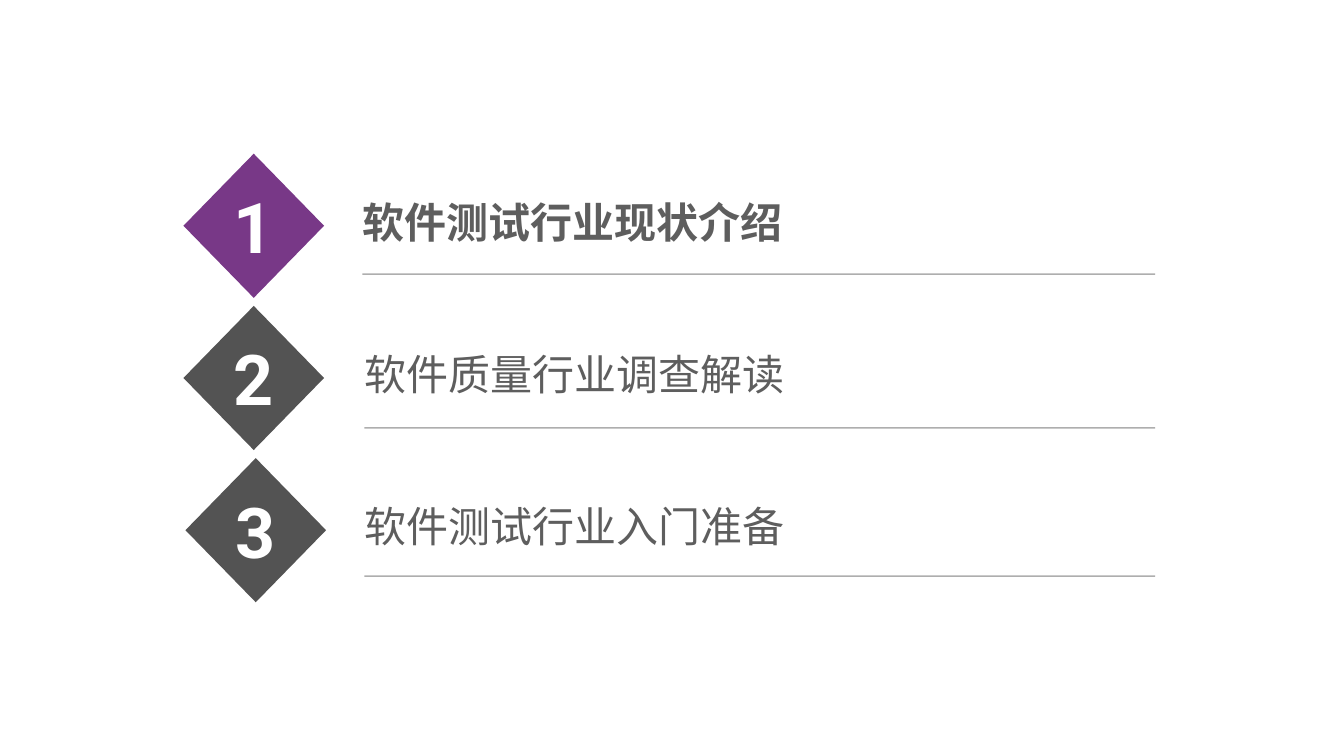
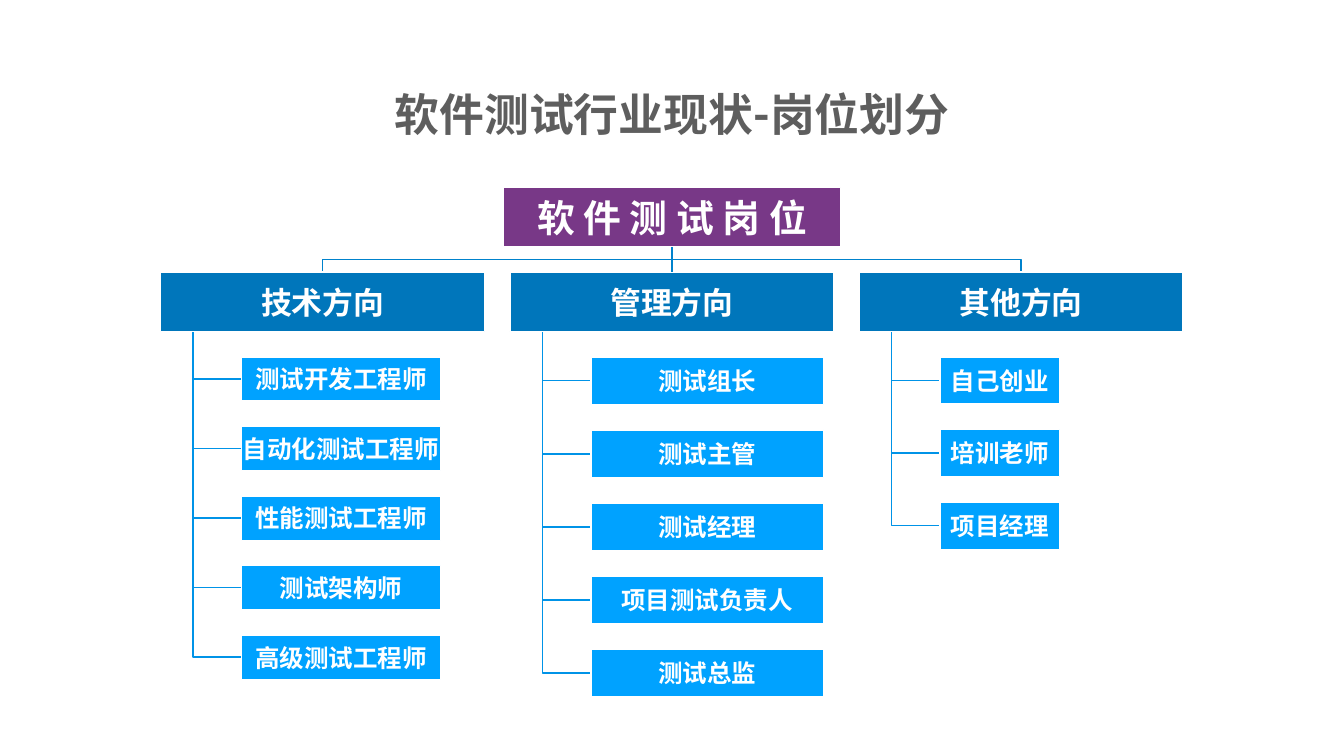
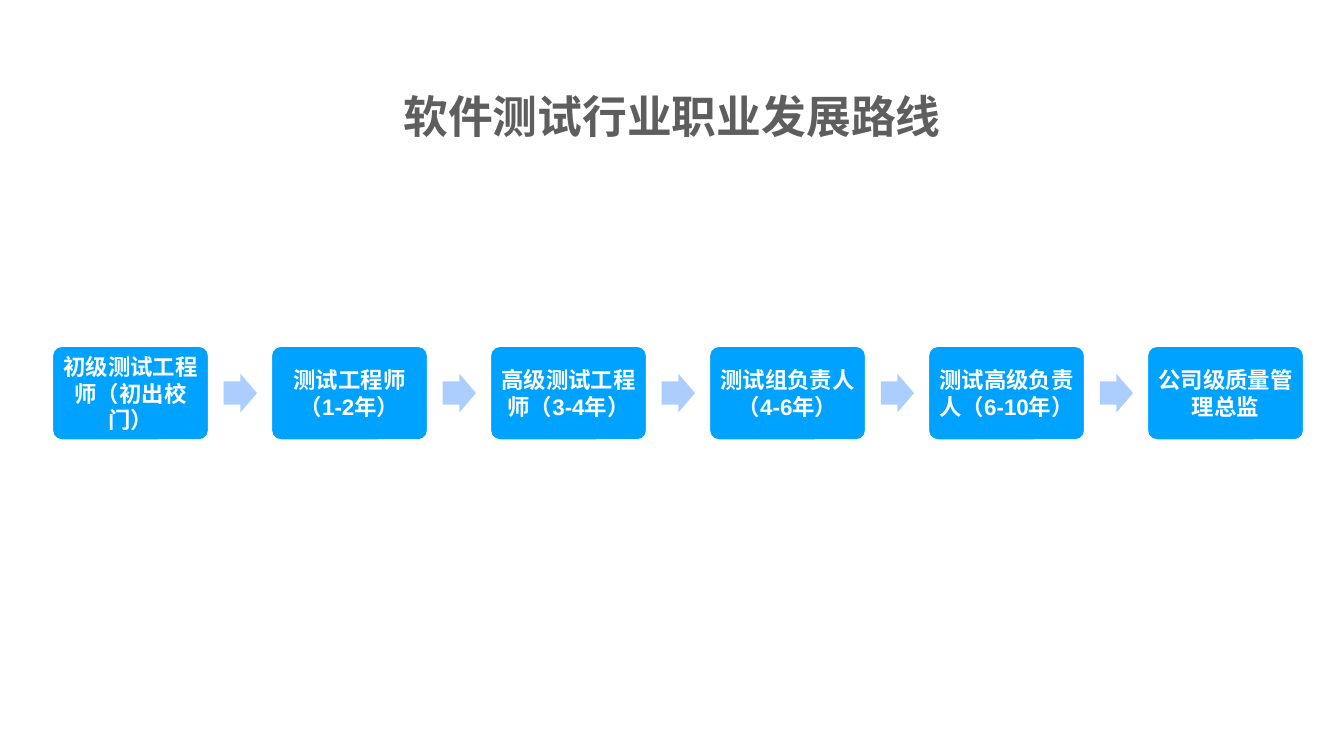
from lxml import etree
from pptx import Presentation
from pptx.dml.color import RGBColor
from pptx.enum.shapes import MSO_CONNECTOR, MSO_SHAPE
from pptx.enum.text import MSO_ANCHOR, MSO_AUTO_SIZE, PP_ALIGN
from pptx.oxml.ns import qn
from pptx.util import Inches, Pt

CENTER, JUSTIFY = PP_ALIGN.CENTER, PP_ALIGN.JUSTIFY
TOP, MIDDLE = MSO_ANCHOR.TOP, MSO_ANCHOR.MIDDLE
GROW = MSO_AUTO_SIZE.SHAPE_TO_FIT_TEXT
DIAMOND, RECTANGLE = MSO_SHAPE.DIAMOND, MSO_SHAPE.RECTANGLE
ROUNDED, ARROW = MSO_SHAPE.ROUNDED_RECTANGLE, MSO_SHAPE.RIGHT_ARROW
STRAIGHT = MSO_CONNECTOR.STRAIGHT

WIDTH, HEIGHT = 26.67, 15
WHITE, GREY, DARK, PURPLE = "FFFFFF", "5E5E5E", "535353", "783887"
NAVY, BLUE, PALE = "0076BB", "00A2FF", "ABCEFF"
ROOT_LINE, BRANCH_LINE = "0082CC", "0093E7"
HEADING_FONT, DIAGRAM_FONT = "Roboto", "Arial"


def paint(shape, fill=None, outline=None):
    shape.shadow.inherit = False
    if fill:
        shape.fill.solid()
        shape.fill.fore_color.rgb = RGBColor.from_string(fill)
    else:
        shape.fill.background()
    if outline:
        shape.line.color.rgb = RGBColor.from_string(outline)
        shape.line.width = Pt(2)
    else:
        shape.line.fill.background()


def write(shape, text, size, font=DIAGRAM_FONT, color=WHITE, bold=True,
          align=CENTER, anchor=MIDDLE, inset=0.1):
    frame = shape.text_frame
    frame.word_wrap = True
    frame.vertical_anchor = anchor
    frame.margin_left = frame.margin_right = Inches(inset)
    frame.margin_top = frame.margin_bottom = Inches(inset)
    frame.text = text
    paragraph = frame.paragraphs[0]
    paragraph.alignment = align
    run_font = paragraph.runs[0].font
    run_font.name, run_font.size, run_font.bold = font, Pt(size), bold
    run_font.color.rgb = RGBColor.from_string(color)


presentation = Presentation()
presentation.slide_width, presentation.slide_height = Inches(WIDTH), Inches(HEIGHT)
blank = presentation.slide_layouts[6]
agenda, positions, career = [presentation.slides.add_slide(blank) for _ in range(3)]

for slide, title, top in [(positions, "软件测试行业现状-岗位划分", 1.62),
                          (career, "软件测试行业职业发展路线", 1.65)]:
    box = slide.shapes.add_textbox(0, Inches(top), Inches(WIDTH), Inches(1.28))
    write(box, title, 64, HEADING_FONT, GREY, anchor=TOP)
    box.text_frame.auto_size = GROW

agenda_pitch = 3.02
agenda_rows = [("软件测试行业现状介绍", PURPLE, 3.64, 7.09, 5.44),
               ("软件质量行业调查解读", DARK, 3.64, 7.13, 8.49),
               ("软件测试行业入门准备", DARK, 3.68, 7.13, 11.43)]
for row, (topic, fill, diamond_left, text_left, rule_top) in enumerate(agenda_rows):
    offset = row * agenda_pitch
    diamond = agenda.shapes.add_shape(DIAMOND, Inches(diamond_left), Inches(3.05 + offset),
                                      Inches(2.79), Inches(2.86))
    paint(diamond, fill)
    write(diamond, str(row + 1), 100, HEADING_FONT)
    box = agenda.shapes.add_textbox(Inches(text_left), Inches(3.79 + offset),
                                    Inches(10.76), Inches(1.21))
    write(box, topic, 60, HEADING_FONT, GREY, row == 0, JUSTIFY, TOP)
    box.text_frame.auto_size = GROW
    rule = agenda.shapes.add_connector(STRAIGHT, Inches(text_left + 0.1), Inches(rule_top),
                                       Inches(22.92), Inches(rule_top))
    rule.line.width = Pt(2)
    rule.line.color.rgb = RGBColor.from_string(GREY)
    line_color = rule.line._ln.find(".//" + qn("a:srgbClr"))
    etree.SubElement(line_color, qn("a:alpha"), val="50000")
    etree.SubElement(rule._element.spPr, qn("a:effectLst"))

gap, bar_height = 0.5, 1.18
root_top, root_width = 3.72, 6.68
root_bottom = root_top + bar_height
head_top = root_bottom + gap
head_bottom = head_top + bar_height
head_width = 6.43
center = WIDTH / 2
directions = [
    ("技术方向", 3.94, 0.88, ["测试开发工程师", "自动化测试工程师", "性能测试工程师",
                          "测试架构师", "高级测试工程师"]),
    ("管理方向", 4.61, 0.95, ["测试组长", "测试主管", "测试经理", "项目测试负责人", "测试总监"]),
    ("其他方向", 2.37, 0.94, ["自己创业", "培训老师", "项目经理"]),
]
heads = []
for column, (direction, job_width, job_height, jobs) in enumerate(directions):
    head_center = center + (column - 1) * (head_width + gap)
    head_left = head_center - head_width / 2
    trunk = head_left + head_width / 10
    job_left = head_left + head_width / 4
    job_tops = [head_bottom + gap + row * (job_height + gap) for row in range(len(jobs))]
    routes = [(BRANCH_LINE, [(trunk, head_bottom), (trunk, top + job_height / 2),
                             (job_left, top + job_height / 2)]) for top in job_tops]
    if column != 1:
        bend = root_bottom + gap / 2
        routes.append((ROOT_LINE, [(center, root_bottom), (center, bend),
                                   (head_center, bend), (head_center, head_top)]))
    for color, route in routes:
        points = [(Inches(x), Inches(y)) for x, y in route]
        builder = positions.shapes.build_freeform(*points[0])
        builder.add_line_segments(points[1:], close=False)
        paint(builder.convert_to_shape(), outline=color)

    head = positions.shapes.add_shape(RECTANGLE, Inches(head_left), Inches(head_top),
                                      Inches(head_width), Inches(bar_height))
    paint(head, NAVY, WHITE)
    write(head, direction, 44, inset=0.03)
    heads.append(head)
    for job, top in zip(jobs, job_tops):
        box = positions.shapes.add_shape(RECTANGLE, Inches(job_left), Inches(top),
                                         Inches(job_width), Inches(job_height))
        paint(box, BLUE, WHITE)
        write(box, job, 35, inset=0.02)

root = positions.shapes.add_shape(RECTANGLE, Inches(center - root_width / 2), Inches(root_top),
                                  Inches(root_width), Inches(bar_height))
paint(root, PURPLE, WHITE)
write(root, "软 件 测 试 岗 位", 54, inset=0.04)
stem = positions.shapes.add_connector(STRAIGHT, Inches(center), Inches(root_bottom),
                                      Inches(center), Inches(head_top))
stem.begin_connect(root, 2)
stem.end_connect(heads[1], 0)
stem.line.width = Pt(2)
stem.line.color.rgb = RGBColor.from_string(ROOT_LINE)
etree.SubElement(stem._element.spPr, qn("a:effectLst"))

stages = ["初级测试工程师（初出校门）", "测试工程师（1-2年）", "高级测试工程师（3-4年）",
          "测试组负责人（4-6年）", "测试高级负责人（6-10年）", "公司级质量管理总监"]
stage_width, stage_height, arrow_height = 3.1, 1.86, 0.77
first_left, last_left, stage_top = 1.04, 22.77, 6.87
stage_pitch = (last_left - first_left) / (len(stages) - 1)
for index, stage in enumerate(stages):
    left = first_left + index * stage_pitch
    box = career.shapes.add_shape(ROUNDED, Inches(left), Inches(stage_top),
                                  Inches(stage_width), Inches(stage_height))
    box.adjustments[0] = 0.1
    paint(box, BLUE, WHITE)
    write(box, stage, 32, inset=0.13)
    if index < len(stages) - 1:
        arrow = career.shapes.add_shape(
            ARROW, Inches(left + stage_width + 0.3),
            Inches(stage_top + (stage_height - arrow_height) / 2),
            Inches(0.66), Inches(arrow_height))
        arrow.adjustments[0], arrow.adjustments[1] = 0.6, 0.5
        paint(arrow, PALE)

presentation.save("out.pptx")
